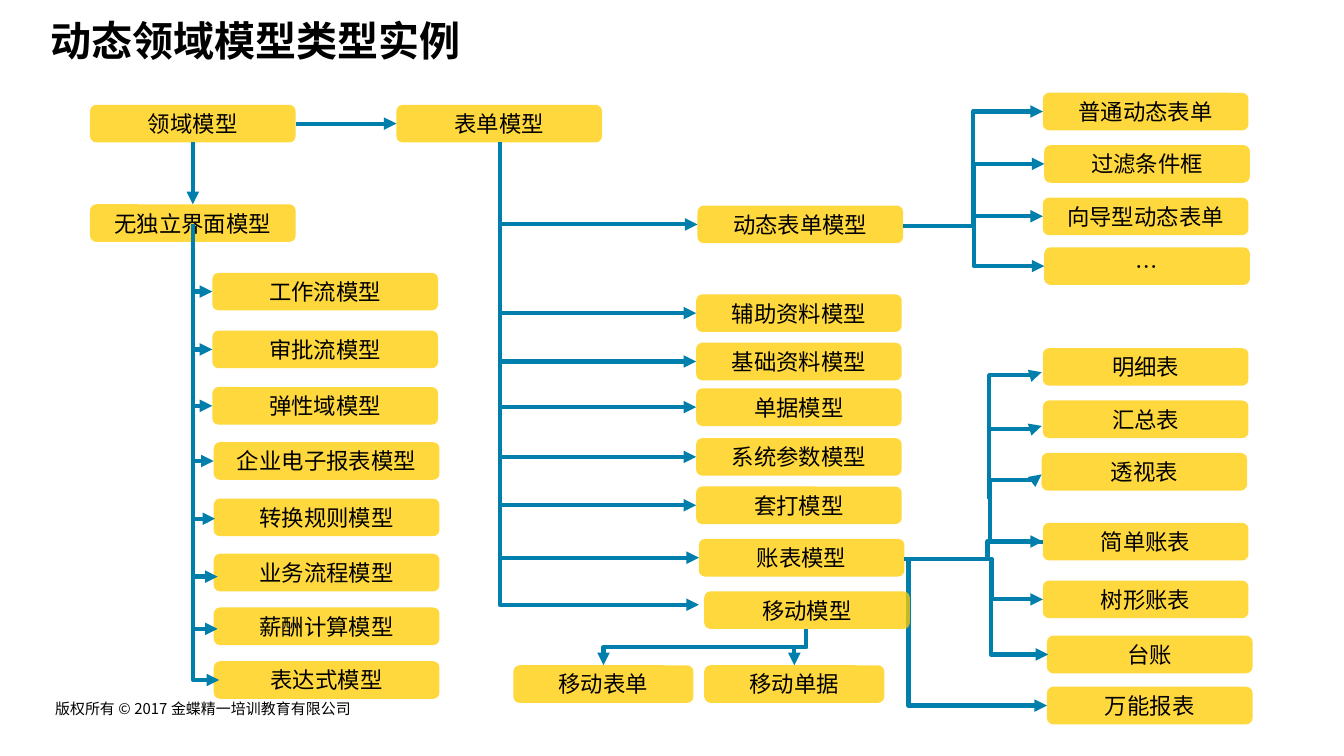
import pptx
import pptx.util
import pptx.dml.color
import pptx.enum.shapes
import pptx.enum.text
import pptx.oxml.ns
from lxml import etree

COLORS = {"box": "FFCC00", "line": "007FAC", "text": "000000"}
FONT = "Noto Sans CJK SC"
COLS, ROWS = 100, 56.25  # square cells, a tenth of an inch each
TALL, WIDE = 2.8, 15.3   # usual box size in cells

qn = pptx.oxml.ns.qn
Shape = pptx.enum.shapes.MSO_SHAPE
Link = pptx.enum.shapes.MSO_CONNECTOR
Anchor = pptx.enum.text.MSO_ANCHOR
Align = pptx.enum.text.PP_ALIGN


def color(name):
    return pptx.dml.color.RGBColor.from_string(COLORS[name])


class Sheet:
    def __init__(self, deck):
        self.cell = deck.slide_width / COLS
        self.slide = deck.slides.add_slide(deck.slide_layouts[6])
        self.shapes = self.slide.shapes

    def grid(self, *cells):
        return [round(c * self.cell) for c in cells]

    def label(self, frame, words, size, bold=False):
        frame.word_wrap = True
        frame.vertical_anchor = Anchor.MIDDLE
        para = frame.paragraphs[0]
        run = para.add_run()
        run.text = words
        font = run.font
        font.name, font.size, font.bold = FONT, pptx.util.Pt(size), bold
        font.color.rgb = color("text")
        etree.SubElement(font._element, qn("a:ea"), typeface=FONT)
        return para

    def text(self, words, x, y, w, h, size, bold=False):
        shape = self.shapes.add_textbox(*self.grid(x, y, w, h))
        return shape.text_frame, self.label(shape.text_frame, words, size, bold)

    def box(self, words, x, y, w=WIDE):
        shape = self.shapes.add_shape(Shape.ROUNDED_RECTANGLE, *self.grid(x, y, w, TALL))
        shape.shadow.inherit = False
        shape.fill.solid()
        shape.fill.fore_color.rgb = color("box")
        tint = shape._element.spPr.find(".//" + qn("a:srgbClr"))
        etree.SubElement(tint, qn("a:alpha"), val="76000")
        shape.line.fill.background()
        self.label(shape.text_frame, words, 12).alignment = Align.CENTER
        return shape

    def style(self, link):
        link.line.color.rgb = color("line")
        link.line.width = pptx.util.Pt(2.25)
        props = link._element.spPr
        etree.SubElement(props.find(qn("a:ln")), qn("a:tailEnd"), type="triangle")
        etree.SubElement(props, qn("a:effectLst"))

    def arrow(self, start, end, first=None, last=None):
        """Straight arrow; first and last are (box, side) pairs to join."""
        link = self.shapes.add_connector(Link.STRAIGHT, *self.grid(*start, *end))
        if first:
            link.begin_connect(*first)
        if last:
            link.end_connect(*last)
        self.style(link)

    def elbow(self, start, end, kind=3, turn=0, adjust=()):
        """Bent arrow; the ends are turned back about the middle, then rotated."""
        (x1, y1), (x2, y2) = start, end
        mx, my = (x1 + x2) / 2, (y1 + y2) / 2
        dx, dy = x1 - mx, y1 - my
        dx, dy = {0: (dx, dy), 90: (dy, -dx), 180: (-dx, -dy), 270: (-dy, dx)}[turn]
        link = self.shapes.add_connector(
            Link.ELBOW, *self.grid(mx + dx, my + dy, mx - dx, my - dy))
        props = link._element.spPr
        props.find(qn("a:xfrm")).set("rot", str(turn * 60000))
        geom = props.find(qn("a:prstGeom"))
        geom.set("prst", f"bentConnector{kind}")
        guides = geom.find(qn("a:avLst"))
        for n, share in enumerate(adjust, 1):
            name = "adj" if kind == 2 else f"adj{n}"
            etree.SubElement(guides, qn("a:gd"), name=name,
                             fmla=f"val {round(share * 100000)}")
        self.style(link)

    def drop(self, start, end):
        """Down, then right."""
        self.elbow(start, end, kind=2, turn=270)


def main():
    deck = pptx.Presentation()
    deck.slide_width = pptx.util.Inches(10)
    deck.slide_height = round(deck.slide_width * ROWS / COLS)
    sheet = Sheet(deck)

    # Footer and title
    frame, para = sheet.text("版权所有 © 2017 金蝶精一培训教育有限公司", 3.5, 51.3, 31.5, 2.7, 8)
    frame.margin_left = frame.margin_right = pptx.util.Inches(0.06)
    frame.margin_top = frame.margin_bottom = pptx.util.Inches(0.01)
    para.line_spacing = pptx.util.Pt(10.5)
    sheet.text("动态领域模型类型实例", 2.8, 0.2, 86.2, 5.5, 22, True)

    # Main models
    root = sheet.box("领域模型", 6.7, 7.8)
    form = sheet.box("表单模型", 29.5, 7.8)
    plain = sheet.box("无独立界面模型", 6.7, 15.2)
    live = sheet.box("动态表单模型", 51.9, 15.3)
    sheet.box("账表模型", 52, 40.1)
    sheet.arrow((22, 9.2), (29.5, 9.2), (root, 3), (form, 1))
    sheet.arrow((14.35, 10.6), (14.35, 15.2), (root, 2), (plain, 0))
    sheet.arrow((37.2, 16.7), (51.9, 16.7), last=(live, 1))

    # Models without a screen: label, left, top, trunk start, arrow tip
    for words, x, y, top, tip in [
        ("工作流模型", 15.8, 20.3, 18.1, (15.8, 21.7)),
        ("审批流模型", 15.8, 24.6, 18.1, (15.8, 26)),
        ("弹性域模型", 15.8, 28.8, 18.1, (15.8, 30.2)),
        ("企业电子报表模型", 15.9, 32.9, 18.1, (15.9, 34.3)),
        ("转换规则模型", 15.9, 37.1, 20.3, (16, 38.6)),
        ("业务流程模型", 15.9, 41.2, 16.7, (16.2, 42.9)),
        ("薪酬计算模型", 15.9, 45.2, 20.7, (16.2, 46.8)),
        ("表达式模型", 15.9, 49.2, 24.5, (16.3, 50.6)),
    ]:
        sheet.box(words, x, y, 16.8)
        sheet.drop((14.35, top), tip)

    # Form models
    trunk = (37.2, 10.6)
    for words, y in [("辅助资料模型", 21.9), ("基础资料模型", 25.5), ("单据模型", 28.9),
                     ("系统参数模型", 32.6), ("套打模型", 36.2)]:
        sheet.box(words, 51.8, y)
        sheet.drop(trunk, (51.8, y + TALL / 2))
    sheet.drop(trunk, (52, 41.5))
    sheet.drop((37.2, 14.1), (52, 45))

    # Dynamic forms
    for words, x, y in [("普通动态表单", 77.6, 6.9), ("过滤条件框", 77.7, 10.8),
                        ("向导型动态表单", 77.6, 14.7), ("…", 77.7, 18.4)]:
        sheet.box(words, x, y)
        sheet.elbow((67.2, 16.8), (x, y + TALL / 2), adjust=[0.5])

    # Reports
    for words, x, y in [("明细表", 77.6, 25.9), ("汇总表", 77.6, 29.8), ("透视表", 77.5, 33.7),
                        ("简单账表", 77.6, 38.9), ("树形账表", 77.6, 43.2),
                        ("台账", 77.9, 47.3), ("万能报表", 77.9, 51.1)]:
        sheet.box(words, x, y)
    for tip, share in [((77.6, 44.6), 0.63), ((77.6, 40.3), 0.6), ((78, 48.7), 0.6)]:
        sheet.elbow((67.3, 41.6), tip, adjust=[share])
    sheet.elbow((77.6, 40.3), (77.5, 35.3), kind=4, turn=180, adjust=[40, 0.92])
    for y in (37.1, 33.1):
        sheet.elbow((73.6, y), (77.5, y - 5.4), turn=90, adjust=[0.96])
    sheet.drop((67.6, 41.6), (77.9, 52.5))

    # Mobile models
    sheet.box("移动模型", 52.4, 44)
    for words, x in [("移动表单", 38.2), ("移动单据", 52.4)]:
        sheet.box(words, x, 49.5, 13.4)
        sheet.elbow((60, 46.8), (x + 6.7, 49.5), turn=90, adjust=[0.5])

    deck.save("out.pptx")


if __name__ == "__main__":
    main()
